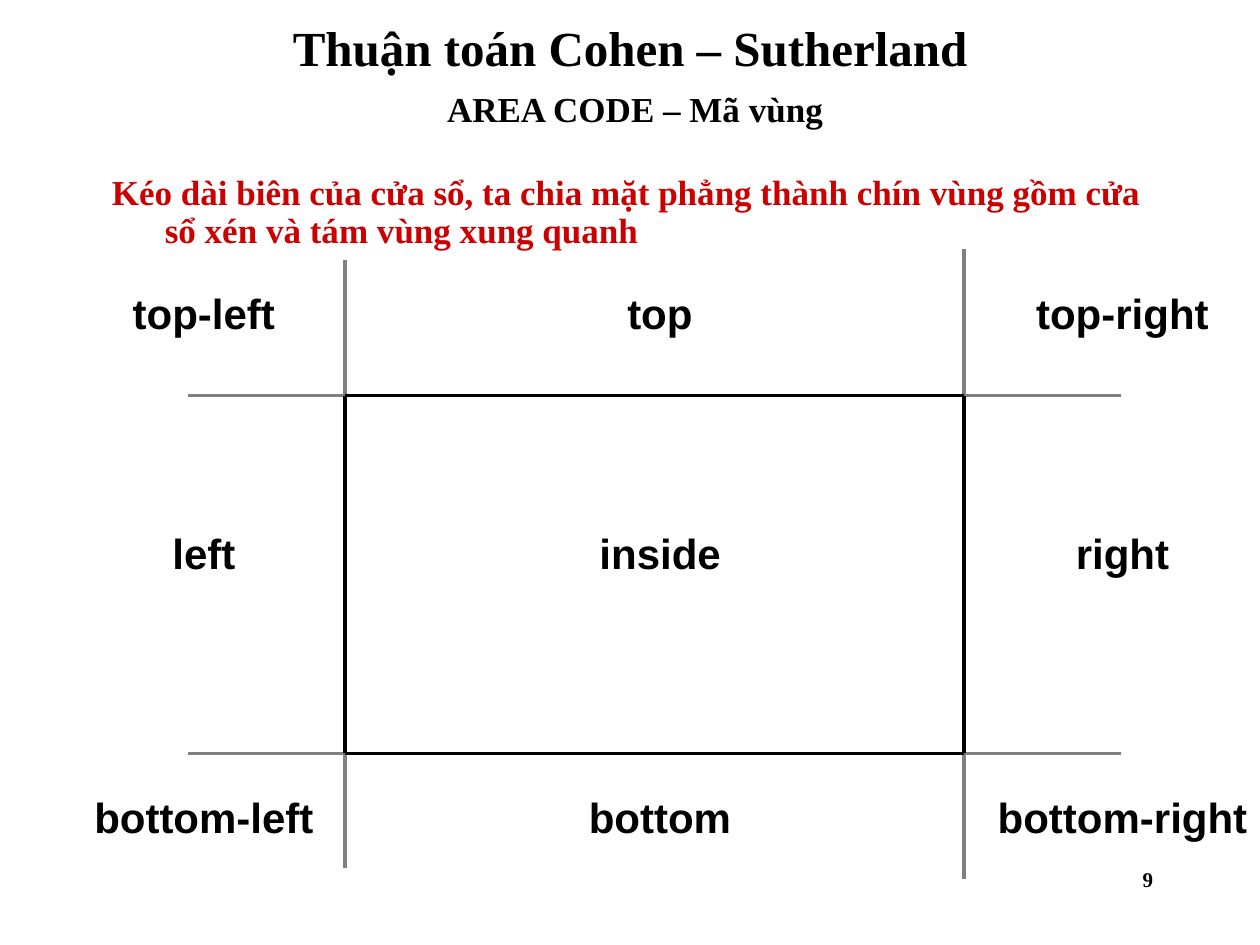
from lxml import etree
from pptx import Presentation
from pptx import util as u
from pptx.dml.color import RGBColor
from pptx.enum import shapes, text
from pptx.oxml import ns

BLACK = RGBColor(0x00, 0x00, 0x00)
RED = RGBColor(0xCC, 0x00, 0x00)
GRAY = RGBColor(0x80, 0x80, 0x80)
SERIF, SANS = "Times New Roman", "Arial"
LEFT, RIGHT, TOP, BOTTOM = 2.74, 7.65, 3.14, 5.98
HANG = u.Inches(0.42)


def write(para, words, size, font=SERIF, color=BLACK, align=text.PP_ALIGN.CENTER,
          before=0, spacing=1.0, hang=0):
    para.alignment = align
    para.space_before = u.Pt(before)
    para.line_spacing = spacing
    if hang:
        props = para._p.get_or_add_pPr()
        props.set("marL", str(hang))
        props.set("indent", str(-hang))
    span = para.add_run()
    span.text = words
    span.font.size = u.Pt(size)
    span.font.name = font
    span.font.bold = True
    span.font.color.rgb = color


def place_box(left, top, width, height, wrap=True):
    box = page.shapes.add_textbox(*map(u.Inches, (left, top, width, height)))
    box.text_frame.word_wrap = wrap
    return box.text_frame


deck = Presentation()
deck.slide_width, deck.slide_height = u.Inches(10), u.Inches(7.5)
page = deck.slides.add_slide(deck.slide_layouts[5])

title = page.shapes.title
title.left, title.top = u.Inches(0.75), 0
title.width, title.height = u.Inches(8.5), u.Inches(0.75)
title.text_frame.vertical_anchor = text.MSO_ANCHOR.MIDDLE
title.text_frame.auto_size = text.MSO_AUTO_SIZE.NONE
write(title.text_frame.paragraphs[0], "Thuận toán Cohen – Sutherland", 28)

intro = place_box(0.79, 0.68, 8.5, 1.42)
write(intro.paragraphs[0], "AREA CODE – Mã vùng", 20, before=5, spacing=0.9, hang=HANG)
write(intro.add_paragraph(),
      "Kéo dài biên của cửa sổ, ta chia mặt phẳng thành chín vùng gồm cửa sổ xén và tám vùng xung quanh",
      20, color=RED, align=text.PP_ALIGN.LEFT, before=26, spacing=0.9, hang=HANG)

boundaries = [
    (LEFT, 2.06, LEFT, 6.89, GRAY),
    (RIGHT, 1.98, RIGHT, 6.98, GRAY),
    (1.49, TOP, 8.9, TOP, GRAY),
    (1.49, BOTTOM, 8.9, BOTTOM, GRAY),
    (LEFT, TOP, LEFT, BOTTOM, BLACK),
    (LEFT, TOP, RIGHT, TOP, BLACK),
    (LEFT, BOTTOM, RIGHT, BOTTOM, BLACK),
    (RIGHT, TOP, RIGHT, BOTTOM, BLACK),
]
for *ends, color in boundaries:
    edge = page.shapes.add_connector(shapes.MSO_CONNECTOR.STRAIGHT, *map(u.Inches, ends))
    edge.line.color.rgb = color
    edge.line.width = u.Pt(2)
    etree.SubElement(edge._element.spPr, ns.qn("a:effectLst"))

column_centers = (1.62, 5.24, 8.91)
region_rows = [
    (2.23, [("top-left", 1.33), ("top", 0.72), ("top-right", 1.57)]),
    (4.14, [("left", 0.7), ("inside", 1.16), ("right", 0.94)]),
    (6.23, [("bottom-left", 1.94), ("bottom", 1.33), ("bottom-right", 2.18)]),
]
for top, regions in region_rows:
    for center, (name, width) in zip(column_centers, regions):
        label = place_box(center - width / 2, top, width, 0.5, wrap=False)
        write(label.paragraphs[0], name, 24, font=SANS, align=text.PP_ALIGN.LEFT)

number = place_box(7.17, 6.83, 2.08, 0.5)
write(number.paragraphs[0], "9", 12, align=text.PP_ALIGN.RIGHT)

deck.save("out.pptx")
